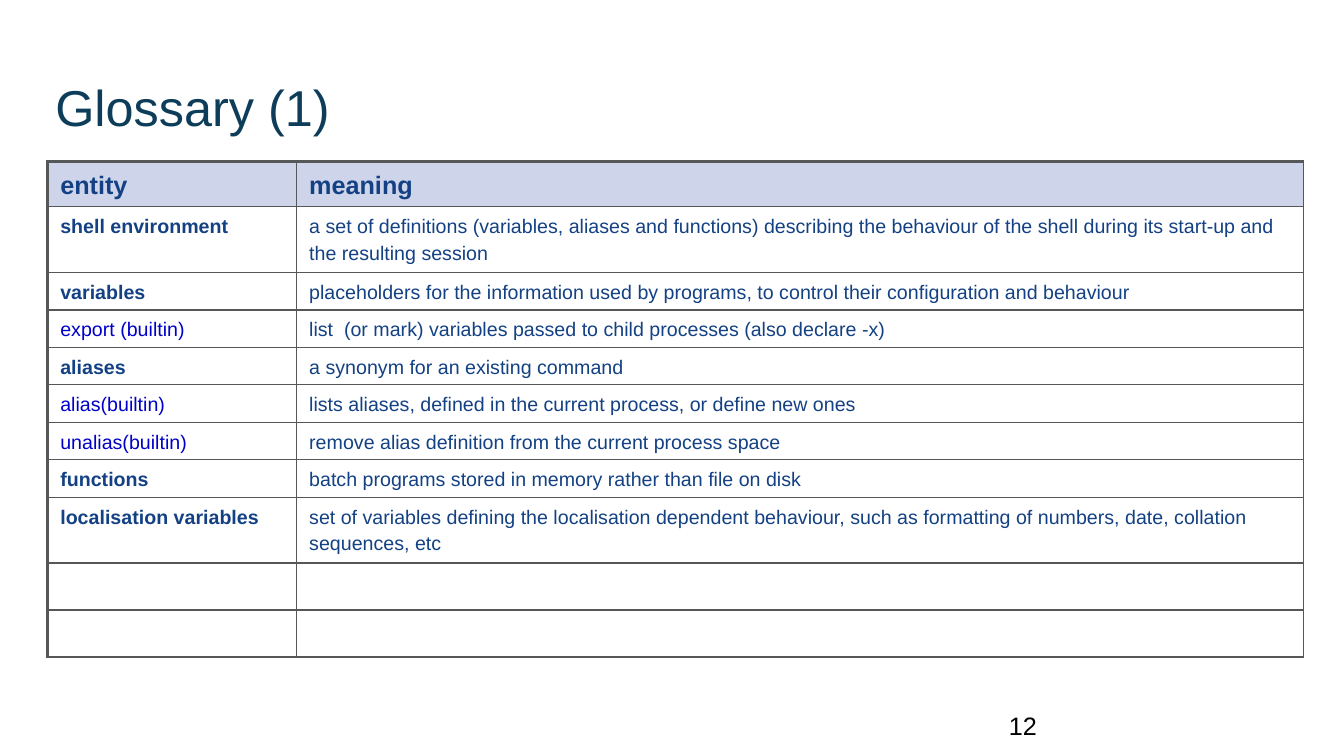
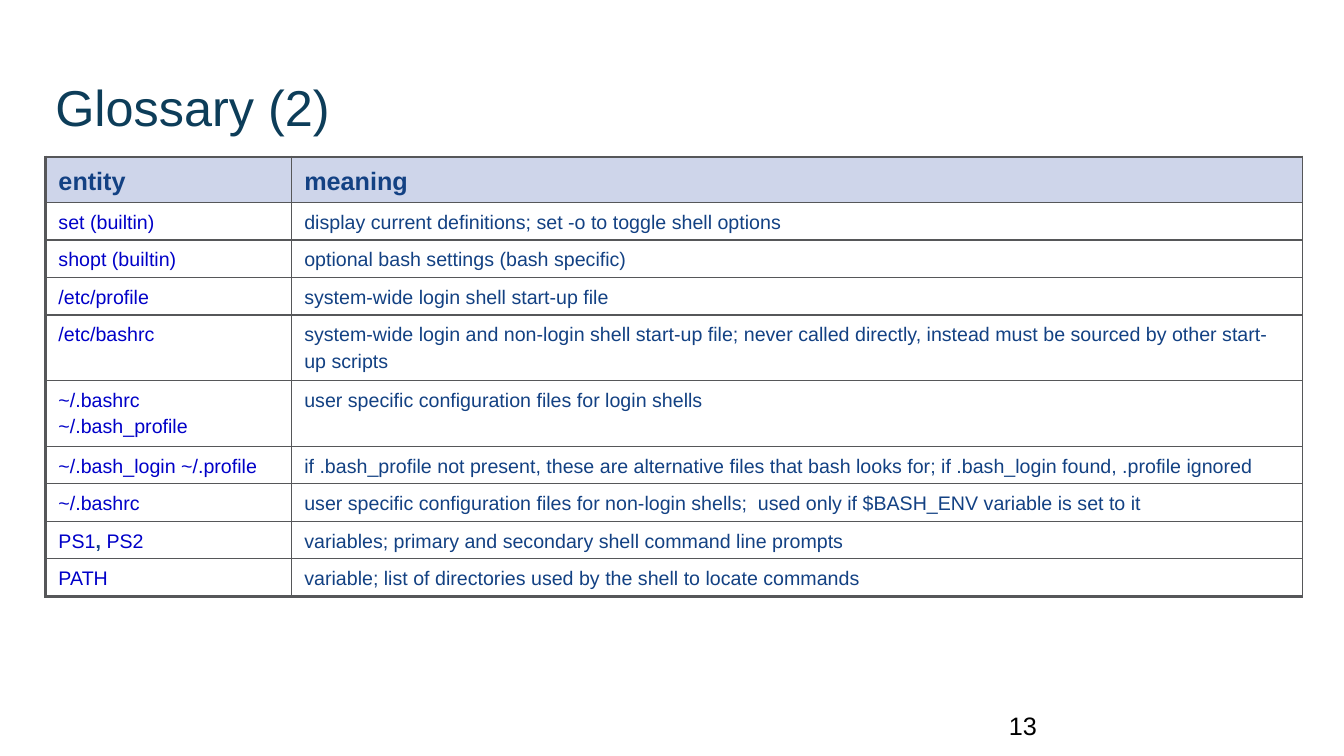
from lxml.etree import SubElement
from pptx import Presentation
from pptx.dml.color import RGBColor
from pptx.enum.text import MSO_ANCHOR as Anchor
from pptx.oxml.ns import qn
from pptx.util import Pt

FONT = "Arial"
NAVY, BLUE, TEAL = "134183", "0000C8", "0D3D59"
BLACK, GREY, LAVENDER = "000000", "565759", "CED5EA"
THIN, THICK = 0.96, 2.21
HEADER_ROW, ONE_LINE, TWO_LINES, EMPTY_ROW = 31.4, 26.1, 45.2, 33.6
HEADER = ("entity", "meaning")
CONCEPT, COMMAND = (NAVY, True), (BLUE, False)

GLOSSARIES = [
    {
        "title": "Glossary (1)", "number": "12",
        "corner": (33.9, 115.2), "columns": (177.8, 719.4),
        "rows": [
            (CONCEPT, TWO_LINES, "shell environment",
             "a set of definitions (variables, aliases and functions) describing the "
             "behaviour of the shell during its start-up and the resulting session"),
            (CONCEPT, ONE_LINE, "variables",
             "placeholders for the information used by programs, to control their "
             "configuration and behaviour"),
            (COMMAND, ONE_LINE, "export (builtin)",
             "list  (or mark) variables passed to child processes (also declare -x)"),
            (CONCEPT, ONE_LINE, "aliases", "a synonym for an existing command"),
            (COMMAND, ONE_LINE, "alias(builtin)",
             "lists aliases, defined in the current process, or define new ones"),
            (COMMAND, ONE_LINE, "unalias(builtin)",
             "remove alias definition from the current process space"),
            (CONCEPT, ONE_LINE, "functions",
             "batch programs stored in memory rather than file on disk"),
            (CONCEPT, TWO_LINES, "localisation variables",
             "set of variables defining the localisation dependent behaviour, such as "
             "formatting of numbers, date, collation sequences, etc"),
            (CONCEPT, EMPTY_ROW, "", ""),
            (CONCEPT, EMPTY_ROW, "", ""),
        ],
    },
    {
        "title": "Glossary (2)", "number": "13",
        "corner": (32.6, 112.2), "columns": (175.6, 722.2),
        "rows": [
            (COMMAND, ONE_LINE, "set (builtin)",
             "display current definitions; set -o to toggle shell options"),
            (COMMAND, ONE_LINE, "shopt (builtin)", "optional bash settings (bash specific)"),
            (COMMAND, ONE_LINE, "/etc/profile", "system-wide login shell start-up file"),
            (COMMAND, TWO_LINES, "/etc/bashrc",
             "system-wide login and non-login shell start-up file; never called directly, "
             "instead must be sourced by other start-up scripts"),
            (COMMAND, TWO_LINES, "~/.bashrc\v~/.bash_profile",
             "user specific configuration files for login shells"),
            (COMMAND, ONE_LINE, "~/.bash_login ~/.profile",
             "if .bash_profile not present, these are alternative files that bash looks "
             "for; if .bash_login found, .profile ignored"),
            (COMMAND, ONE_LINE, "~/.bashrc",
             "user specific configuration files for non-login shells;  used only if "
             "$BASH_ENV variable is set to it"),
            (COMMAND, ONE_LINE, ("PS1", ", ", "PS2"),
             "variables; primary and secondary shell command line prompts"),
            (COMMAND, ONE_LINE, "PATH",
             "variable; list of directories used by the shell to locate commands"),
        ],
    },
]


def color(code):
    return RGBColor.from_string(code)


def style(font, size, code, bold=False):
    font.name, font.size, font.bold = FONT, Pt(size), bold
    font.color.rgb = color(code)


def add_text(page, text, area, anchor, size, code):
    box = page.shapes.add_textbox(*map(Pt, area))
    frame = box.text_frame
    frame.word_wrap, frame.vertical_anchor = True, anchor
    para = frame.paragraphs[0]
    para.text = text
    style(para.font, size, code)


def set_borders(cell, widths):
    props = cell._tc.get_or_add_tcPr()
    for place, (side, width) in enumerate(zip("LRTB", widths)):
        line = props.makeelement(qn(f"a:ln{side}"), {"w": str(Pt(width))})
        fill = SubElement(line, qn("a:solidFill"))
        SubElement(fill, qn("a:srgbClr"), val=GREY)
        props.insert(place, line)


def fill_cell(cell, text, size, code, bold, back=None):
    cell.margin_left = cell.margin_right = Pt(9.2)
    cell.margin_top = cell.margin_bottom = Pt(3.3)
    if back:
        cell.fill.solid()
        cell.fill.fore_color.rgb = color(back)
    else:
        cell.fill.background()
    para = cell.text_frame.paragraphs[0]
    para.line_spacing = 1.2
    style(para.font, size, code, bold)
    if isinstance(text, str):
        para.text = text
        return
    for piece in text:
        span = para.add_run()
        span.text = piece
        if piece == ", ":
            style(span.font, size, NAVY, True)


def add_glossary(page, corner, columns, rows):
    heights = [HEADER_ROW] + [height for _, height, _, _ in rows]
    area = (*corner, sum(columns), sum(heights))
    table = page.shapes.add_table(len(heights), len(columns), *map(Pt, area)).table
    table.first_row = table.horz_banding = False
    for column, width in zip(table.columns, columns):
        column.width = Pt(width)
    for row, height in zip(table.rows, heights):
        row.height = Pt(height)
    for index, heading in enumerate(HEADER):
        fill_cell(table.cell(0, index), heading, 18, NAVY, True, LAVENDER)
    for index, (look, _, entity, meaning) in enumerate(rows, 1):
        fill_cell(table.cell(index, 0), entity, 14, *look)
        fill_cell(table.cell(index, 1), meaning, 14, NAVY, False)
    last = len(rows)
    for index, row in enumerate(table.rows):
        for side, cell in enumerate(row.cells):
            set_borders(cell, (THIN if side else THICK, THIN,
                               THIN if index else THICK,
                               THICK if index == last else THIN))


deck = Presentation()
deck.slide_width, deck.slide_height = Pt(960), Pt(540)
for glossary in GLOSSARIES:
    page = deck.slides.add_slide(deck.slide_layouts[6])
    add_text(page, glossary["number"], (713.5, 504, 224, 28.8), Anchor.MIDDLE, 18, BLACK)
    add_text(page, glossary["title"], (32.4, 10, 718.6, 90.8), Anchor.BOTTOM, 36, TEAL)
    add_glossary(page, glossary["corner"], glossary["columns"], glossary["rows"])
deck.save("out.pptx")
